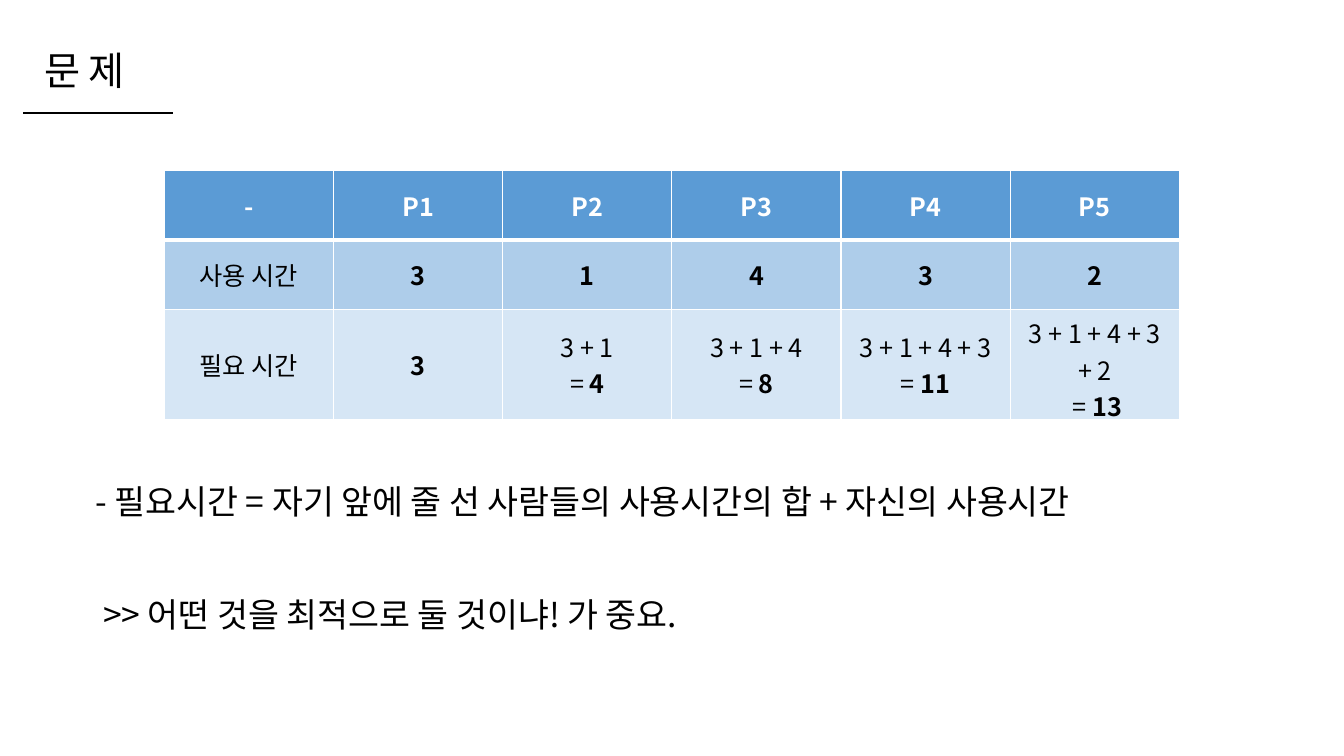
from lxml import etree
from pptx import Presentation
from pptx import util as u
from pptx.dml.color import RGBColor
from pptx.enum import shapes, text
from pptx.oxml import ns

FONT = "Noto Sans CJK KR"
COLORS = {"ink": "000000", "white": "FFFFFF", "header": "5B9BD5",
          "usage": "AECDEA", "needed": "D6E6F5"}

# Each cell is a list of paragraphs; each paragraph is (plain text, bold text).
ROWS = [
    ("header", 0.69, [[("", t)] for t in ("-", "P1", "P2", "P3", "P4", "P5")]),
    ("usage", 0.69, [[("사용 시간", "")]] + [[("", t)] for t in "31432"]),
    ("needed", 1.09, [
        [("필요 시간", "")],
        [("", "3")],
        [("3 + 1", ""), ("= ", "4")],
        [("3 + 1 + 4", ""), ("=", " 8")],
        [("3 + 1 + 4 + 3 =", " 11")],
        [("3 + 1 + 4 + 3 + 2", ""), (" = ", "13")],
    ]),
]


def rgb(name):
    """Return a named colour."""
    return RGBColor.from_string(COLORS[name])


def style_run(r, size, color="ink", bold=False):
    """Set the font of a run for Latin and Korean letters."""
    r.font.name, r.font.size, r.font.bold = FONT, u.Pt(size), bold
    r.font.color.rgb = rgb(color)
    ea = etree.Element(ns.qn("a:ea"), typeface=FONT)
    r.font._element.find(ns.qn("a:latin")).addnext(ea)


def add_title(s, left, top, width, height):
    """Place the heading with its underline at the foot of the box."""
    line = s.shapes.add_connector(
        shapes.MSO_CONNECTOR.STRAIGHT, u.Inches(left), u.Inches(top + height),
        u.Inches(left + width), u.Inches(top + height))
    line.line.color.rgb = rgb("ink")
    line.line.width = u.Pt(1.5)
    etree.SubElement(line._element.spPr, ns.qn("a:effectLst"))

    sp = s.shapes.add_textbox(u.Inches(left + 0.11), u.Inches(top),
                              u.Inches(1.07), u.Inches(0.57))
    tf = sp.text_frame
    tf.word_wrap = False
    tf.auto_size = text.MSO_AUTO_SIZE.SHAPE_TO_FIT_TEXT
    tf.text = "문 제"
    style_run(tf.paragraphs[0].runs[0], 28)


def set_borders(cell, bottom):
    """Give a cell white borders, with its own bottom width in points."""
    tc_pr = cell._tc.get_or_add_tcPr()
    for side, width in (("L", 1), ("R", 1), ("T", 1), ("B", bottom)):
        ln = etree.SubElement(tc_pr, ns.qn("a:ln" + side), w=str(u.Pt(width)))
        fill = etree.SubElement(ln, ns.qn("a:solidFill"))
        etree.SubElement(fill, ns.qn("a:srgbClr"), val=COLORS["white"])


def fill_cell(cell, paragraphs, kind):
    """Write and format one table cell."""
    header = kind == "header"
    set_borders(cell, 3 if header else 1)
    cell.fill.solid()
    cell.fill.fore_color.rgb = rgb(kind)
    cell.vertical_anchor = text.MSO_ANCHOR.MIDDLE
    tf = cell.text_frame
    for i, parts in enumerate(paragraphs):
        p = tf.add_paragraph() if i else tf.paragraphs[0]
        p.alignment = text.PP_ALIGN.CENTER
        for words, bold in zip(parts, (False, True)):
            if words:
                r = p.add_run()
                r.text = words
                style_run(r, 18, "white" if header else "ink", bold)


def add_times_table(s, left, top, width):
    """Place the table of usage and needed times."""
    count = len(ROWS[0][2])
    height = sum(row[1] for row in ROWS)
    table = s.shapes.add_table(len(ROWS), count, u.Inches(left), u.Inches(top),
                               u.Inches(width), u.Inches(height)).table
    for col in table.columns:
        col.width = u.Inches(width / count)
    for i, (kind, row_height, cells) in enumerate(ROWS):
        table.rows[i].height = u.Inches(row_height)
        for j, paragraphs in enumerate(cells):
            fill_cell(table.cell(i, j), paragraphs, kind)


def add_notes(s, left, top, width, height):
    """Place the definition and the conclusion below the table."""
    sp = s.shapes.add_textbox(u.Inches(left), u.Inches(top),
                              u.Inches(width), u.Inches(height))
    tf = sp.text_frame
    tf.word_wrap = True
    tf.text = ("- 필요시간 = 자기 앞에 줄 선 사람들의 사용시간의 합 + 자신의 사용시간\n"
               " >> 어떤 것을 최적으로 둘 것이냐! 가 중요.")
    for p in tf.paragraphs:
        p_pr = p._p.get_or_add_pPr()
        p_pr.set("marL", str(u.Inches(0.38)))
        p_pr.set("indent", str(u.Inches(-0.38)))
        style_run(p.runs[0], 24)
    tf.paragraphs[1].space_before = u.Pt(52)


prs = Presentation()
prs.slide_width, prs.slide_height = u.Inches(13.33), u.Inches(7.5)
s = prs.slides.add_slide(prs.slide_layouts[6])
add_title(s, 0.23, 0.41, 1.49, 0.71)
add_times_table(s, 1.63, 1.69, 10.07)
add_notes(s, 0.85, 4.72, 11.62, 1.7)
prs.save("out.pptx")
